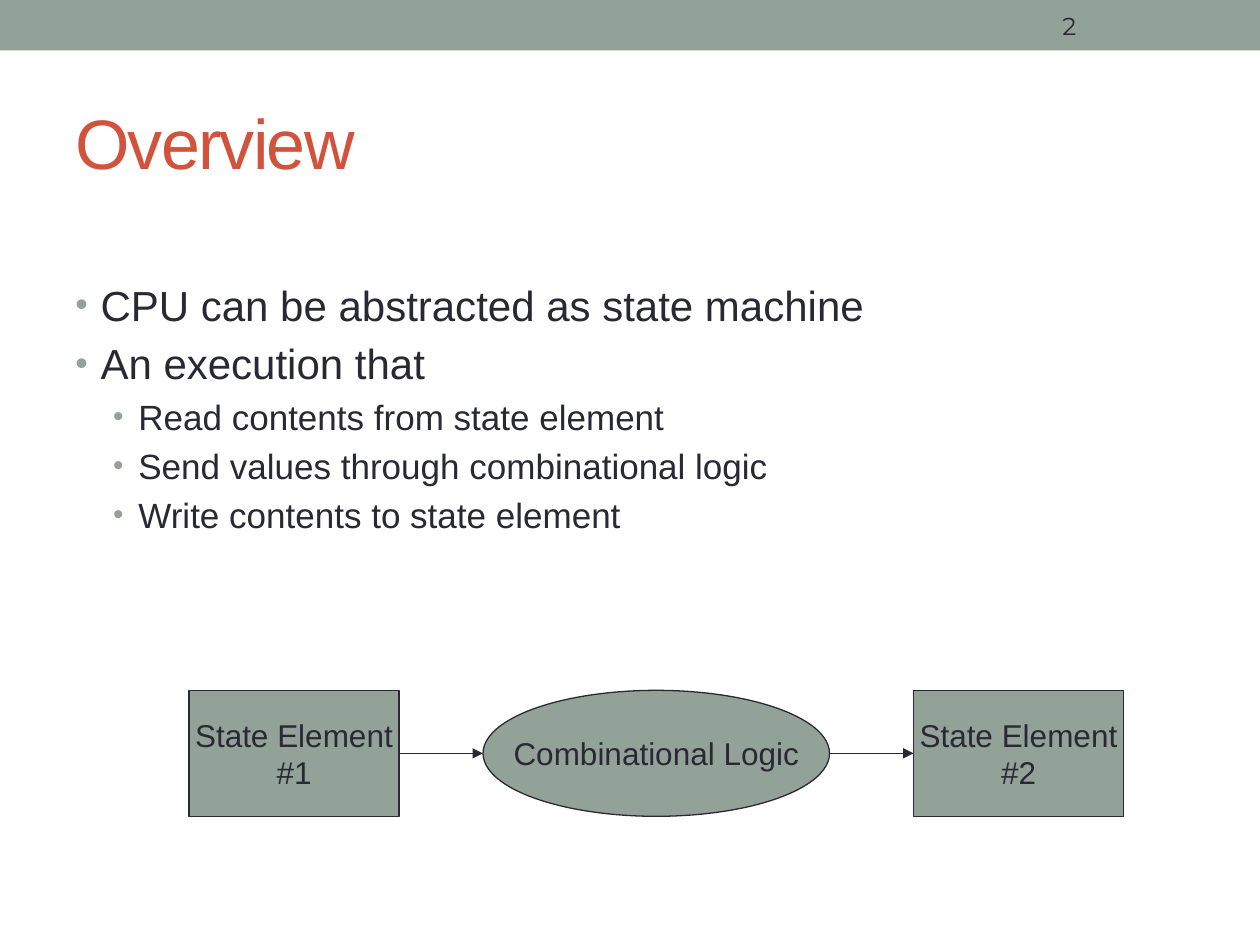
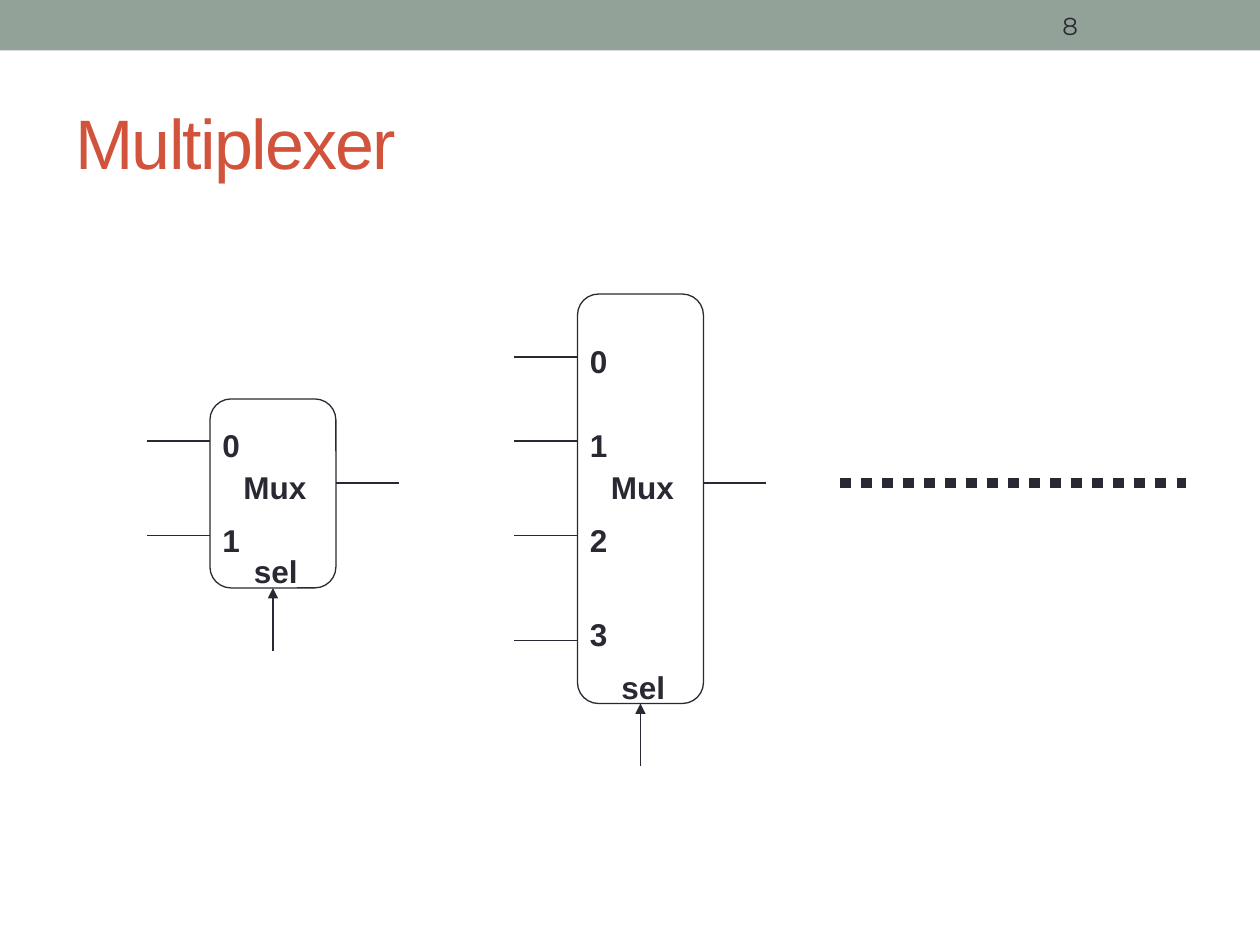
from lxml import etree
from pptx import Presentation
from pptx.dml.color import RGBColor
from pptx.enum.dml import MSO_LINE_DASH_STYLE as DASH
from pptx.enum.shapes import MSO_CONNECTOR, MSO_SHAPE as SHAPE
from pptx.enum.text import MSO_ANCHOR as ANCHOR, PP_ALIGN as ALIGN
from pptx.oxml.ns import qn
from pptx.util import Pt

SAGE, RUST, INK = "93A299", "D2533C", "292934"


def color(hex_code):
    return RGBColor.from_string(hex_code)


def add_element(parent, tag, **attributes):
    return etree.SubElement(parent, qn(tag), attributes)


class Deck:
    font = "Arial"
    line_width = 0.75

    def __init__(self):
        self.presentation = Presentation()
        self.presentation.slide_width = Pt(720)
        self.presentation.slide_height = Pt(540)
        self.slide = None

    def new_slide(self, title, number):
        layout = self.presentation.slide_layouts[6]
        self.slide = self.presentation.slides.add_slide(layout)
        self.box(SHAPE.RECTANGLE, 0, 0, 720, 28.8, fill=SAGE, outline=None)
        run = self.text(title, 36, 42, 648, 78, 40, RUST, anchor=ANCHOR.MIDDLE)
        run.font._element.set("spc", "-100")
        self.text(number, 600, 1.5, 84, 26, 14, font=("Montserrat"), anchor=ANCHOR.MIDDLE)

    def run(self, paragraph, text, size, hex_code=INK, bold=False, font=None):
        run = paragraph.add_run()
        run.text = text
        run.font.name = font or self.font
        run.font.size = Pt(size)
        run.font.bold = bold
        run.font.color.rgb = color(hex_code)
        return run

    def frame(self, left, top, width, height, anchor=ANCHOR.TOP):
        textbox = self.slide.shapes.add_textbox(Pt(left), Pt(top), Pt(width), Pt(height))
        textbox.text_frame.word_wrap = True
        textbox.text_frame.vertical_anchor = anchor
        return textbox.text_frame

    def space_before(self, paragraph, percent):
        properties = paragraph._p.get_or_add_pPr()
        spacing = add_element(properties, "a:spcBef")
        add_element(spacing, "a:spcPct", val=str(percent * 1000))
        return properties

    def text(self, text, left, top, width, height, size, hex_code=INK,
             bold=False, font=None, anchor=ANCHOR.TOP):
        paragraph = self.frame(left, top, width, height, anchor).paragraphs[0]
        return self.run(paragraph, text, size, hex_code, bold, font)

    def label(self, text, left, top, width):
        paragraph = self.frame(left, top, width, 29).paragraphs[0]
        self.space_before(paragraph, 50)
        self.run(paragraph, text, 18, bold=True)

    def bullets(self, items, left, top, width, height):
        frame = self.frame(left, top, width, height)
        for index, (level, text) in enumerate(items):
            paragraph = frame.add_paragraph() if index else frame.paragraphs[0]
            paragraph.level = level
            properties = self.space_before(paragraph, 20)
            properties.set("marL", str(Pt(14.4 + 21.6 * level)))
            properties.set("indent", str(Pt(-14.4)))
            bullet_color = add_element(properties, "a:buClr")
            add_element(bullet_color, "a:srgbClr", val=SAGE)
            add_element(properties, "a:buSzPct", val="85000")
            add_element(properties, "a:buFont", typeface=self.font)
            add_element(properties, "a:buChar", char="\u2022")
            self.run(paragraph, text, 24 - 4 * level)

    def box(self, kind, left, top, width, height, lines=(), fill=None, outline=INK):
        shape = self.slide.shapes.add_shape(kind, Pt(left), Pt(top), Pt(width), Pt(height))
        shape.shadow.inherit = False
        if fill:
            shape.fill.solid()
            shape.fill.fore_color.rgb = color(fill)
        else:
            shape.fill.background()
        if outline:
            shape.line.color.rgb = color(outline)
            shape.line.width = Pt(self.line_width)
        else:
            shape.line.fill.background()
        frame = shape.text_frame
        frame.word_wrap = False
        frame.vertical_anchor = ANCHOR.MIDDLE
        for index, text in enumerate(lines):
            paragraph = frame.add_paragraph() if index else frame.paragraphs[0]
            paragraph.alignment = ALIGN.CENTER
            self.run(paragraph, text, 18)
        return shape

    def line(self, x1, y1, x2, y2, arrow=False, width=None, dash=None):
        connector = self.slide.shapes.add_connector(
            MSO_CONNECTOR.STRAIGHT, Pt(x1), Pt(y1), Pt(x2), Pt(y2))
        connector.line.color.rgb = color(INK)
        connector.line.width = Pt(width or self.line_width)
        if dash:
            connector.line.dash_style = dash
        if arrow:
            add_element(connector.line._get_or_add_ln(), "a:tailEnd", type="triangle")
        add_element(connector._element.spPr, "a:effectLst")

    def mux(self, left, top, height, inputs, output):
        """Inputs are pairs: height of the wire, top of its label."""
        width, wire = 72, 36
        right, bottom, middle = left + width, top + height, left + width / 2
        body = self.box(SHAPE.ROUNDED_RECTANGLE, left, top, width, height)
        body.adjustments[0] = 0.167
        for number, (y, label_top) in enumerate(inputs):
            self.line(left - wire, y, left, y)
            self.label(str(number), left, label_top, 24)
        self.line(right, output, right + wire, output)
        self.label("Mux", left + 12, output - 12, 60)
        self.line(middle, bottom + wire, middle, bottom, arrow=True)
        self.label("sel", left + 18, bottom - 24, 54)


deck = Deck()

# Overview: bullets above a row of three linked stages
deck.new_slide("Overview", "2")
deck.bullets([
    (0, "CPU can be abstracted as state machine"),
    (0, "An execution that"),
    (1, "Read contents from state element"),
    (1, "Send values through combinational logic"),
    (1, "Write contents to state element"),
], 36, 156, 648, 170)

stages = [
    (SHAPE.RECTANGLE, 120, ["State Element", "#1"]),
    (SHAPE.OVAL, 198, ["Combinational Logic"]),
    (SHAPE.RECTANGLE, 120, ["State Element", "#2"]),
]
stage_top, stage_height, gap = 394.5, 72, 48
left = 108
for index, (kind, width, lines) in enumerate(stages):
    deck.box(kind, left, stage_top, width, stage_height, lines, fill=SAGE)
    if index:
        middle = stage_top + stage_height / 2
        deck.line(left - gap, middle, left, middle, arrow=True)
    left += width + gap

# Multiplexer: two-input and four-input versions, then "and so on"
deck.new_slide("Multiplexer", "8")
output = 276
deck.mux(120, 228, 108, [(252, 240), (306, 294)], output)
deck.mux(330, 168, 234, [(204, 192), (252, 240), (306, 294), (366, 348)], output)
deck.line(480, output, 678, output, width=6, dash=DASH.ROUND_DOT)

deck.presentation.save("out.pptx")
